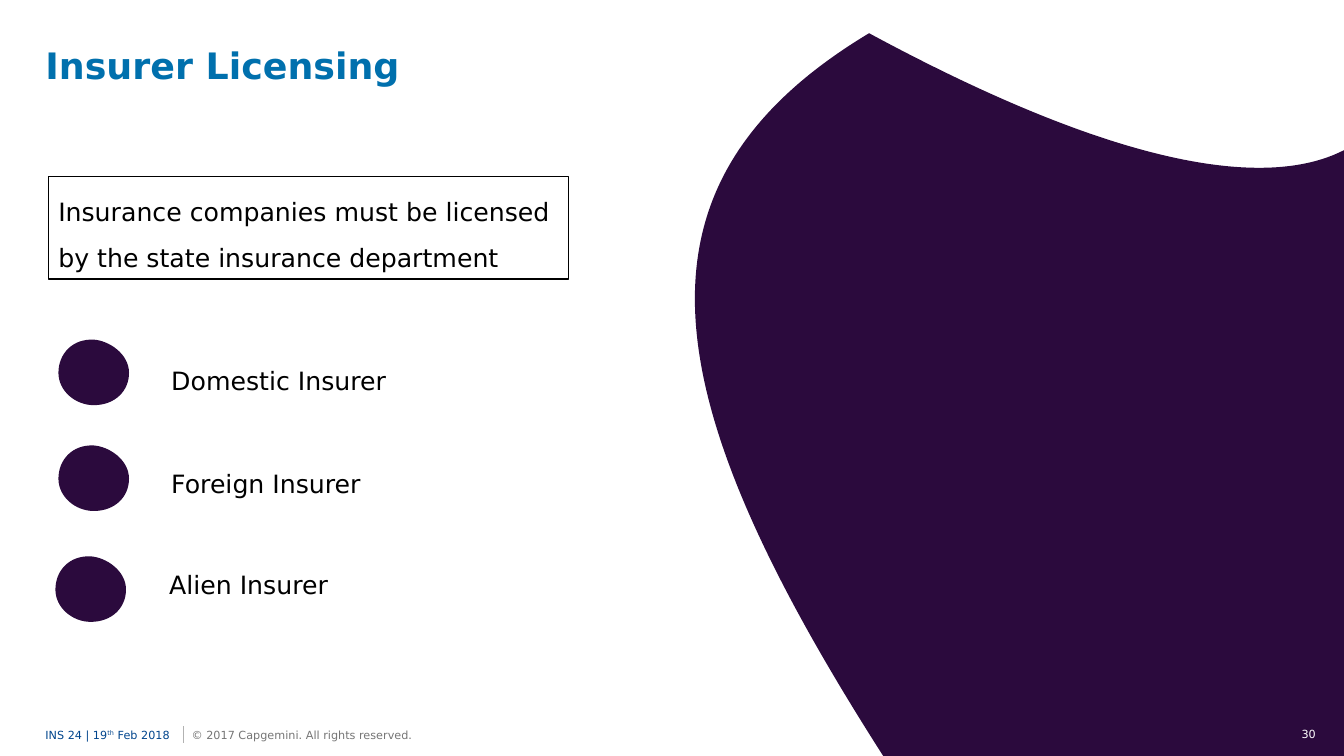
from dataclasses import dataclass

from lxml import etree
from pptx import Presentation
from pptx.dml.color import RGBColor
from pptx.enum.shapes import MSO_CONNECTOR, MSO_SHAPE
from pptx.enum.text import MSO_ANCHOR, MSO_AUTO_SIZE, PP_ALIGN
from pptx.oxml.ns import qn
from pptx.util import Inches, Pt

TOP, MIDDLE = MSO_ANCHOR.TOP, MSO_ANCHOR.MIDDLE
LEFT, RIGHT = PP_ALIGN.LEFT, PP_ALIGN.RIGHT
RECTANGLE, STRAIGHT = MSO_SHAPE.RECTANGLE, MSO_CONNECTOR.STRAIGHT
NO_AUTOFIT = MSO_AUTO_SIZE.NONE
SLIDE_W, SLIDE_H = 13.33, 7.5


@dataclass(frozen=True)
class Theme:
    font: str = "DejaVu Sans"
    title: str = "0070AD"
    text: str = "000000"
    accent: str = "2B0A3D"
    paper: str = "FFFFFF"
    date: str = "00458D"
    muted: str = "767676"
    rule: str = "B2B2B2"
    title_size: int = 26
    body_size: int = 18
    footer_size: int = 8


THEME = Theme()

# A start point, then two control points and an end point for each curve,
# all relative to the box.
WAVE = [(2.65, 7.17),
        (0.38, 3.62), (0, 1.51), (2.51, 0),
        (5.25, 1.48), (6.58, 1.49), (7.22, 1.16),
        (7.22, 7.17), (7.22, 7.17), (7.22, 7.17)]
BLOB = [(0, 0.33),
        (0, 0.51), (0.17, 0.65), (0.35, 0.65),
        (0.56, 0.65), (0.7, 0.51), (0.7, 0.33),
        (0.7, 0.14), (0.5, 0.01), (0.35, 0),
        (0.14, -0.01), (0, 0.14), (0, 0.33)]

# Insurer type, then left and top of its blob, and the box of its label.
INSURERS = [("Domestic Insurer", (0.58, 3.37), (1.6, 3.58, 4.04, 0.4)),
            ("Foreign Insurer", (0.58, 4.42), (1.6, 4.6, 4.54, 0.4)),
            ("Alien Insurer", (0.55, 5.52), (1.58, 5.6, 4.67, 0.4))]


def color(value):
    return RGBColor.from_string(value)


def write(tf, runs, size, ink, bold=False, inset=None, anchor=TOP,
          align=LEFT, spacing=None, wrap=True):
    """Fill a text frame with one paragraph of (text, baseline) runs."""
    frame = {"word_wrap": wrap, "auto_size": NO_AUTOFIT,
             "vertical_anchor": anchor}
    if inset is not None:
        sides = ("left", "top", "right", "bottom")
        frame.update({f"margin_{side}": Inches(inset) for side in sides})
    for name, value in frame.items():
        setattr(tf, name, value)
    p = tf.paragraphs[0]
    p.alignment = align
    if spacing:
        p.line_spacing = spacing
    for text, baseline in runs:
        r = p.add_run()
        r.text = text
        for name, value in {"name": THEME.font, "size": Pt(size),
                            "bold": bold}.items():
            setattr(r.font, name, value)
        r.font.color.rgb = color(ink)
        if baseline:
            r.font._element.set("baseline", str(baseline * 1000))


def add_text(s, box, runs, size, ink, **formats):
    sp = s.shapes.add_textbox(*map(Inches, box))
    write(sp.text_frame, runs, size, ink, **formats)


def bend_segments(sp):
    """Turn every three straight segments into one cubic Bezier curve."""
    segments = list(sp._element.iter(qn("a:lnTo")))
    for first, second, third in zip(*[iter(segments)] * 3):
        curve = etree.Element(qn("a:cubicBezTo"))
        first.addprevious(curve)
        for segment in (first, second, third):
            curve.append(segment[0])
            segment.getparent().remove(segment)


def add_curved_shape(s, left, top, outline):
    points = [(Inches(left + x), Inches(top + y)) for x, y in outline]
    builder = s.shapes.build_freeform(*points[0])
    builder.add_line_segments(points[1:], close=True)
    sp = builder.convert_to_shape()
    bend_segments(sp)
    sp.shadow.inherit = False
    sp.fill.solid()
    sp.fill.fore_color.rgb = color(THEME.accent)
    sp.line.fill.background()


def add_footer(s, left, top, height):
    size = THEME.footer_size
    x = left + 1.37
    rule = s.shapes.add_connector(STRAIGHT, Inches(x), Inches(top + 0.2),
                                  Inches(x), Inches(top + 0.03))
    rule.line.color.rgb = color(THEME.rule)
    rule.line.width = Pt(1)
    etree.SubElement(rule._element.spPr, qn("a:effectLst"))
    add_text(s, (left, top, 3.09, height),
             [("INS 24 | 19", 0), ("th", 30), (" Feb 2018", 0)],
             size, THEME.date, inset=0, anchor=MIDDLE)
    add_text(s, (left + 1.45, top, 2.43, height),
             [("© 2017 Capgemini. All rights reserved.", 0)],
             size, THEME.muted, inset=0, anchor=MIDDLE)
    add_text(s, (12.76, top, 0.39, height), [("30", 0)],
             size, THEME.paper, align=RIGHT, wrap=False)


def set_title(s, box, text):
    title = s.shapes.title
    for name, value in zip(("left", "top", "width", "height"), box):
        setattr(title, name, Inches(value))
    write(title.text_frame, [(text, 0)], THEME.title_size, THEME.title,
          bold=True, inset=0, spacing=0.9)


def add_callout(s, box, text):
    sp = s.shapes.add_shape(RECTANGLE, *map(Inches, box))
    sp.shadow.inherit = False
    sp.fill.solid()
    sp.fill.fore_color.rgb = color(THEME.paper)
    sp.line.color.rgb = color(THEME.text)
    sp.line.width = Pt(1)
    write(sp.text_frame, [(text, 0)], THEME.body_size, THEME.text, spacing=1.5)


def add_insurers(s):
    for name, blob, label in INSURERS:
        add_curved_shape(s, *blob, BLOB)
        add_text(s, label, [(name, 0)], THEME.body_size, THEME.text)


def main():
    prs = Presentation()
    prs.slide_width, prs.slide_height = Inches(SLIDE_W), Inches(SLIDE_H)
    s = prs.slides.add_slide(prs.slide_layouts[5])
    add_curved_shape(s, 6.11, 0.33, WAVE)
    add_footer(s, 0.45, 7.17, 0.24)
    set_title(s, (0.45, 0.48, 7.22, 0.94), "Insurer Licensing")
    add_callout(s, (0.48, 1.75, 5.16, 1.02),
                "Insurance companies must be licensed "
                "by the state insurance department")
    add_insurers(s)
    prs.save("out.pptx")


if __name__ == "__main__":
    main()
